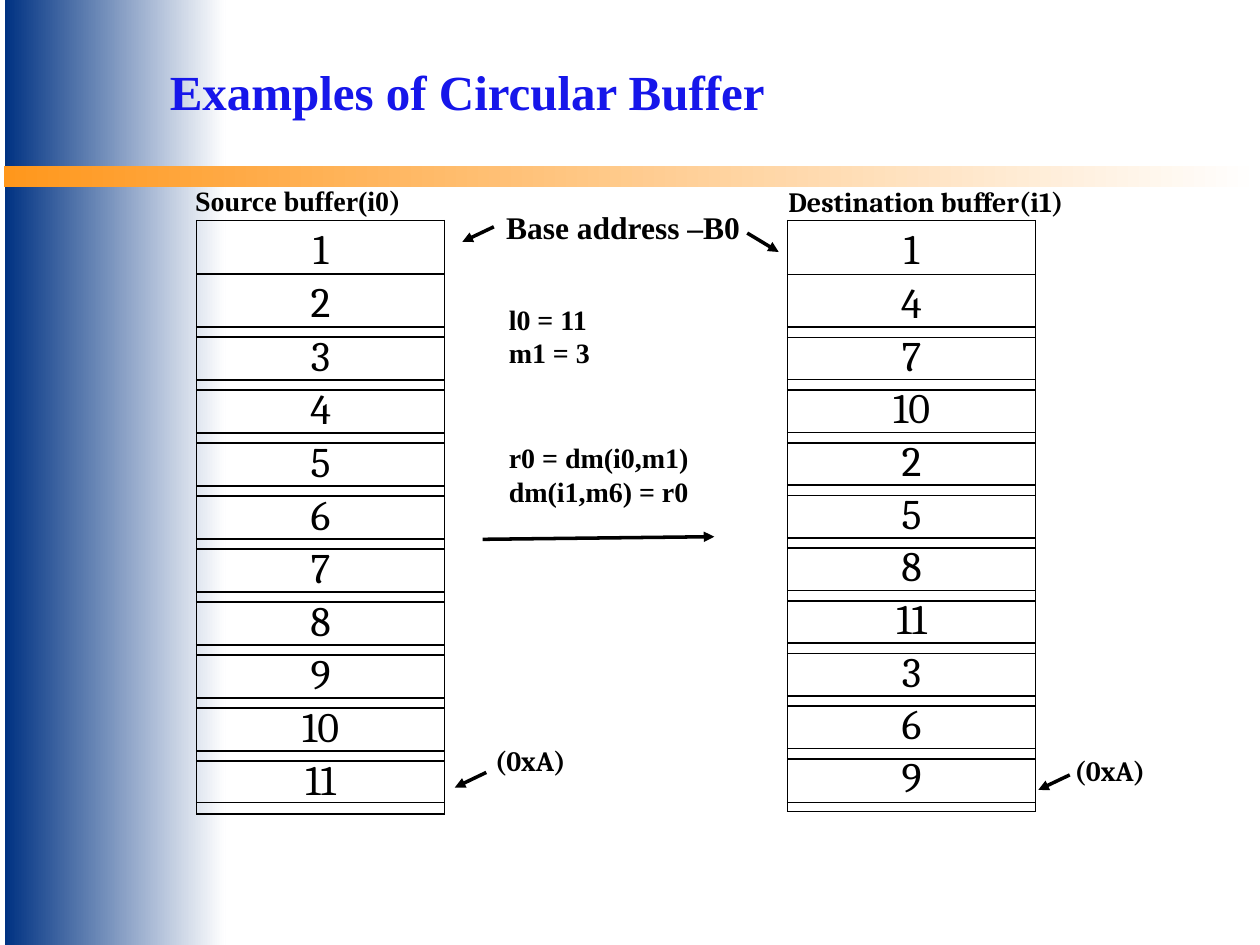
"""Build the circular buffer slide: two buffers, register settings and arrows."""
from lxml.etree import SubElement
from pptx import Presentation
from pptx.dml.color import RGBColor
from pptx.enum.shapes import MSO_CONNECTOR as Conn, MSO_SHAPE as Shape
from pptx.enum.text import MSO_ANCHOR as Anchor, PP_ALIGN as Align
from pptx.oxml import parse_xml
from pptx.oxml.ns import nsdecls, qn
from pptx.util import Pt

BLACK = RGBColor(0x00, 0x00, 0x00)
WHITE = RGBColor(0xFF, 0xFF, 0xFF)
NAVY = RGBColor(0x00, 0x32, 0x82)
ORANGE = RGBColor(0xFF, 0x97, 0x1C)
BLUE = RGBColor(0x16, 0x16, 0xEA)
SERIF, CAMBRIA = "Times New Roman", "Cambria"

BANDS = [
    ((2.9, 0, 126, 540), NAVY),
    ((2.2, 95, 717.8, 12.2), ORANGE),
]
TITLE = ((90, 31, 612, 41.8), [[("Examples of Circular Buffer", SERIF)]], 28, BLUE)
LABELS = [
    ((282.2, 115.2, 167.8, 28.8), [[("Base address –B0", SERIF)]], 18),
    ((283.7, 169.2, 167.8, 46.1), [[("l0 = 11", SERIF)], [("m1 = 3", SERIF)]], 16),
    ((283.7, 248.4, 130.3, 46.1),
     [[("r0 = dm(i0,m1)", SERIF)], [("dm(i1,m6) = r0", SERIF)]], 16),
    ((607, 427, 108, 26.6), [[("(0xA)", CAMBRIA)]], 16),
    ((275.8, 421.2, 167.8, 26.6), [[("(0xA)", CAMBRIA)]], 16),
    ((104.4, 101.5, 164.9, 26.6), [[("Source buffer(i0", SERIF), (")", CAMBRIA)]], 16),
    ((443.5, 102.2, 180, 26.6), [[("Destination buffer(i1)", CAMBRIA)]], 16),
]
BUFFERS = [
    {"left": 112.3, "second_top": 156.5, "pitch": 30.3, "values": list(range(1, 12))},
    {"left": 450, "second_top": 156.8, "pitch": 30.1,
     "values": [1, 4, 7, 10, 2, 5, 8, 11, 3, 6, 9]},
]
BUFFER_TOP, BUFFER_W, BUFFER_H, CELL_H = 126, 141.8, 332.6, 30.2
ARROWS = [
    (282.2, 129.6, 264.2, 138.2),
    (427, 133.2, 445, 144),
    (275.8, 308.2, 408.2, 306.7),
    (611.3, 442.8, 593.3, 451.4),
    (277.9, 441.4, 259.9, 450),
]


def set_attrs(obj, values):
    for name, value in values.items():
        setattr(obj, name, value)


def add_band(s, box, color):
    sp = s.shapes.add_shape(Shape.RECTANGLE, *map(Pt, box))
    sp.shadow.inherit = False
    sp.line.fill.background()
    sp.fill.gradient()
    sp.fill.gradient_angle = 0
    for stop, rgb in zip(sp.fill.gradient_stops, (color, WHITE)):
        stop.color.rgb = rgb


def add_text(s, box, lines, size, color=BLACK, anchor=Anchor.TOP):
    tf = s.shapes.add_textbox(*map(Pt, box)).text_frame
    set_attrs(tf, {"word_wrap": True, "vertical_anchor": anchor})
    for i, line in enumerate(lines):
        p = tf.paragraphs[0] if i == 0 else tf.add_paragraph()
        for text, font in line:
            r = p.add_run()
            r.text = text
            set_attrs(r.font, {"name": font, "size": Pt(size), "bold": True})
            r.font.color.rgb = color


def add_cell(s, left, top, height, value):
    table = s.shapes.add_table(1, 1, *map(Pt, (left, top, BUFFER_W, height))).table
    set_attrs(table, {"first_row": False, "horz_banding": False})
    cell = table.cell(0, 0)
    cell.fill.background()
    tc_pr = cell._tc.get_or_add_tcPr()
    for i, side in enumerate("LRTB"):
        tc_pr.insert(i, parse_xml(
            f'<a:ln{side} {nsdecls("a")} w="12700"><a:solidFill>'
            f'<a:srgbClr val="{BLACK}"/></a:solidFill></a:ln{side}>'))
    p = cell.text_frame.paragraphs[0]
    p.alignment = Align.CENTER
    r = p.add_run()
    r.text = str(value)
    set_attrs(r.font, {"name": CAMBRIA, "size": Pt(24), "bold": False})
    r.font.color.rgb = BLACK


def add_buffer(s, left, second_top, pitch, values):
    add_cell(s, left, BUFFER_TOP, BUFFER_H, values[0])
    for i, value in enumerate(values[1:]):
        add_cell(s, left, second_top + i * pitch, CELL_H, value)


def add_arrow(s, ends):
    line = s.shapes.add_connector(Conn.STRAIGHT, *map(Pt, ends))
    line.line.color.rgb = BLACK
    line.line.width = Pt(2)
    SubElement(line.line._get_or_add_ln(), qn("a:tailEnd"), type="triangle")
    SubElement(line._element.spPr, qn("a:effectLst"))


def main():
    prs = Presentation()
    set_attrs(prs, {"slide_width": Pt(720), "slide_height": Pt(540)})
    s = prs.slides.add_slide(prs.slide_layouts[6])
    for band in BANDS:
        add_band(s, *band)
    add_text(s, *TITLE, anchor=Anchor.MIDDLE)
    for buffer in BUFFERS:
        add_buffer(s, **buffer)
    for label in LABELS:
        add_text(s, *label)
    for ends in ARROWS:
        add_arrow(s, ends)
    prs.save("out.pptx")


if __name__ == "__main__":
    main()
